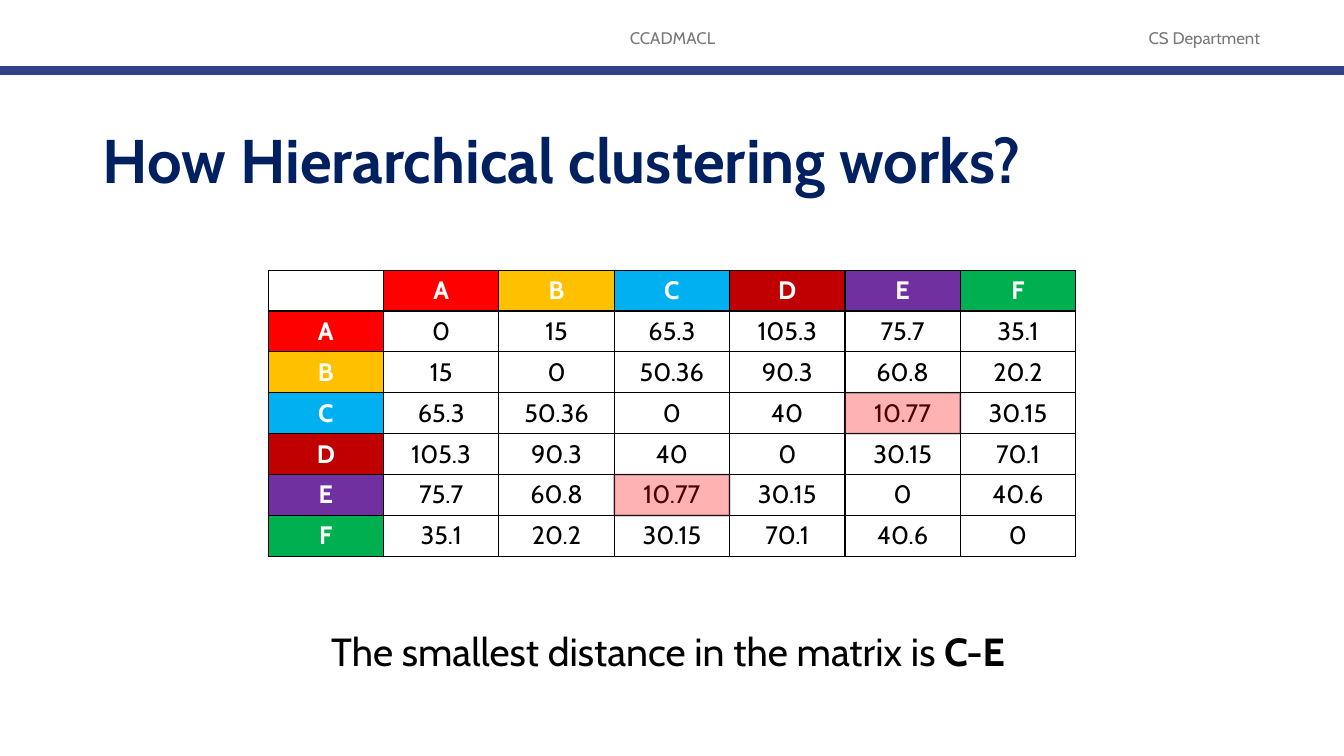
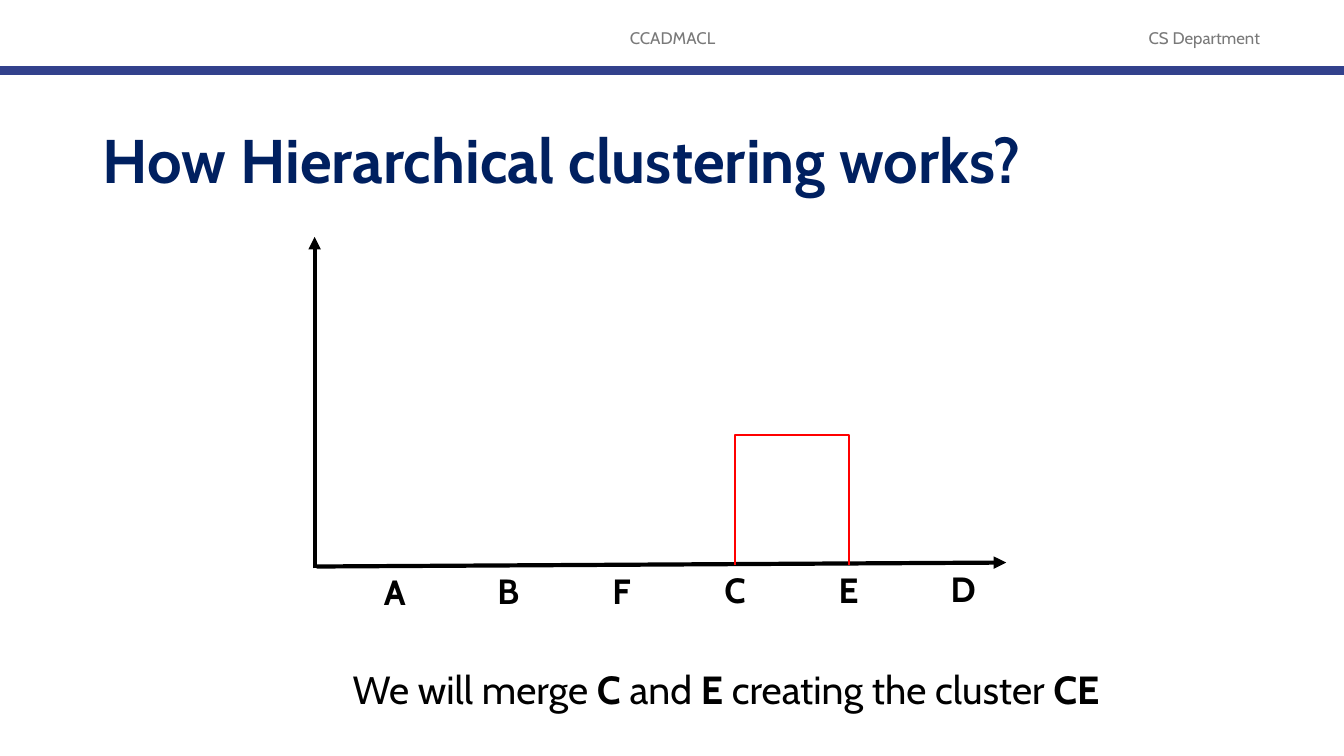
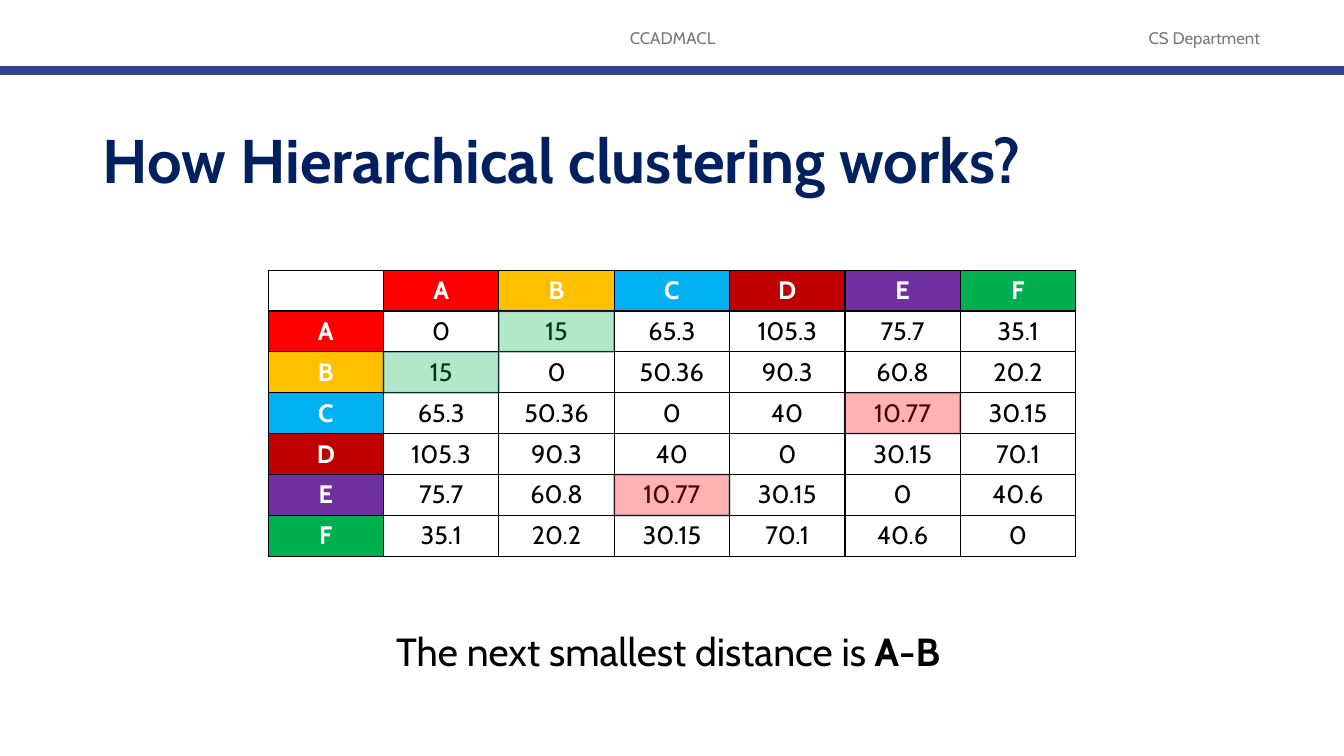
import typing

import lxml.etree
import pptx
import pptx.dml.color
import pptx.enum.shapes
import pptx.enum.text
import pptx.oxml.ns
import pptx.util

RGB = pptx.dml.color.RGBColor
ALIGN = pptx.enum.text.PP_ALIGN
ANCHOR = pptx.enum.text.MSO_ANCHOR
Pt = pptx.util.Pt
qn = pptx.oxml.ns.qn

BLACK = RGB(0x00, 0x00, 0x00)
WHITE = RGB(0xFF, 0xFF, 0xFF)
GREY = RGB(0x79, 0x79, 0x79)
NAVY = RGB(0x00, 0x20, 0x60)
INDIGO = RGB(0x32, 0x41, 0x8C)
OUTLINE = RGB(0x09, 0x2A, 0x39)
RED = RGB(0xFF, 0x00, 0x00)
AMBER = RGB(0xFF, 0xC0, 0x00)
SKY = RGB(0x00, 0xB0, 0xF0)
CRIMSON = RGB(0xC0, 0x00, 0x00)
PURPLE = RGB(0x70, 0x30, 0xA0)
GREEN = RGB(0x00, 0xB0, 0x50)

FONT = "Cabin"
TITLE = "How Hierarchical clustering works?"
POINTS = {"A": RED, "B": AMBER, "C": SKY, "D": CRIMSON, "E": PURPLE, "F": GREEN}
DISTANCES = [
    ["0", "15", "65.3", "105.3", "75.7", "35.1"],
    ["15", "0", "50.36", "90.3", "60.8", "20.2"],
    ["65.3", "50.36", "0", "40", "10.77", "30.15"],
    ["105.3", "90.3", "40", "0", "30.15", "70.1"],
    ["75.7", "60.8", "10.77", "30.15", "0", "40.6"],
    ["35.1", "20.2", "30.15", "70.1", "40.6", "0"],
]


class Box(typing.NamedTuple):
    left: int
    top: int
    width: int
    height: int

    def at(self, x, y):
        """Point at x and y percent of the box."""
        return (round(self.left + self.width * x / 100),
                round(self.top + self.height * y / 100))

    def inner(self, x, y, w, h):
        """Inner box whose place and size are percentages of this one."""
        return Box(*self.at(x, y), round(self.width * w / 100),
                   round(self.height * h / 100))


PAGE = Box(0, 0, pptx.util.Inches(13.33), pptx.util.Inches(7.5))
MATRIX = PAGE.inner(19.95, 35.73, 60.09, 37.87)
PLOT = PAGE.inner(23.41, 31.33, 51.46, 43.87)
MATRIX_CAPTION = PAGE.inner(6.9, 83.07, 86.27, 9.73)
PLOT_CAPTION = PAGE.inner(10.88, 88, 86.27, 9.73)


def style(p, size, color, bold=None, align=ALIGN.CENTER):
    p.alignment = align
    p.font.name, p.font.size, p.font.bold = FONT, Pt(size), bold
    p.font.color.rgb = color


def add_text(slide, box, text, size, color, bold=None, align=ALIGN.CENTER,
             anchor=ANCHOR.MIDDLE, wrap=True):
    """Add one paragraph; a tuple of texts alternates plain and bold runs."""
    tf = slide.shapes.add_textbox(*box).text_frame
    tf.word_wrap, tf.vertical_anchor = wrap, anchor
    p = tf.paragraphs[0]
    style(p, size, color, bold, align)
    if isinstance(text, str):
        p.add_run().text = text
    else:
        for i, words in enumerate(text):
            r = p.add_run()
            r.text, r.font.bold = words, i % 2 == 1
    return p


def add_line(slide, start, end, color, width, arrow=False):
    sp = slide.shapes.add_connector(
        pptx.enum.shapes.MSO_CONNECTOR.STRAIGHT, *start, *end)
    sp.line.color.rgb, sp.line.width = color, Pt(width)
    sp_pr = sp._element.spPr
    if arrow:
        lxml.etree.SubElement(sp_pr.find(qn("a:ln")), qn("a:tailEnd"),
                              type="triangle")
    lxml.etree.SubElement(sp_pr, qn("a:effectLst"))


def new_slide(prs, caption, caption_box):
    slide = prs.slides.add_slide(prs.slide_layouts[6])
    add_text(slide, PAGE.inner(33.16, 2.27, 33.76, 5.33), "CCADMACL", 12, GREY)
    add_text(slide, PAGE.inner(81.92, 2.27, 15.38, 5.33), "CS Department", 12, GREY)
    add_line(slide, PAGE.at(0, 9.33), PAGE.at(100, 9.33), INDIGO, 6)
    title = add_text(slide, PAGE.inner(6.9, 12, 86.27, 19.33), TITLE, 44, NAVY,
                     True, ALIGN.LEFT)
    text = add_text(slide, caption_box, caption, 28, BLACK, anchor=ANCHOR.TOP)
    title.line_spacing = text.line_spacing = 0.9
    return slide


def fill_cell(cell, text, fill, anchor):
    """Write a cell with black borders; only labels have a fill."""
    tc_pr = cell._tc.get_or_add_tcPr()
    for side in "LRTB":
        ln = lxml.etree.SubElement(tc_pr, qn(f"a:ln{side}"), w=str(int(Pt(1))))
        solid = lxml.etree.SubElement(ln, qn("a:solidFill"))
        lxml.etree.SubElement(solid, qn("a:srgbClr"), val=str(BLACK))
    if fill is None:
        cell.fill.background()
    else:
        cell.fill.solid()
        cell.fill.fore_color.rgb = fill
    cell.text, cell.vertical_anchor = text, anchor
    style(cell.text_frame.paragraphs[0], 18, BLACK if fill is None else WHITE,
          fill is not None)


def add_matrix(slide, box):
    rows = [["", *POINTS]]
    rows += [[name, *values] for name, values in zip(POINTS, DISTANCES)]
    n = len(rows)
    table = slide.shapes.add_table(n, n, *box).table
    table.first_row = table.horz_banding = False
    for i, row in enumerate(rows):
        table.columns[i].width = round(box.width / n)
        table.rows[i].height = round(box.height / n)
        for j, text in enumerate(row):
            fill_cell(table.cell(i, j), text, POINTS.get(text),
                      ANCHOR.TOP if i else ANCHOR.MIDDLE)


def highlight_pair(slide, box, pair, color):
    """Tint both cells of the matrix that hold the distance of a pair."""
    step = 100 / (len(POINTS) + 1)
    i, j = (list(POINTS).index(name) + 1 for name in pair)
    for row, col in ((i, j), (j, i)):
        sp = slide.shapes.add_shape(
            pptx.enum.shapes.MSO_SHAPE.RECTANGLE,
            *box.inner(col * step, row * step, step, step))
        sp.shadow.inherit = False
        sp.fill.solid()
        sp.fill.fore_color.rgb = color
        sp.line.color.rgb, sp.line.width = OUTLINE, Pt(1.5)
        for clr in sp._element.spPr.iter(qn("a:srgbClr")):
            lxml.etree.SubElement(clr, qn("a:alpha"), val="30000")


def add_dendrogram(slide, box, names, merged):
    add_line(slide, box.at(0.3, 99.4), box.at(100, 98.2), BLACK, 3, arrow=True)
    add_line(slide, box.at(0, 100), box.at(0, 0), BLACK, 3, arrow=True)
    centers = {name: 11.6 + 16.4 * i for i, name in enumerate(names)}
    for i, (name, x) in enumerate(centers.items()):
        add_text(slide, box.inner(x - 3.06, 99.1 - 0.18 * i, 6.12, 15.8), name,
                 25, BLACK, True, anchor=ANCHOR.TOP, wrap=False)
    left, right = (centers[name] for name in merged)
    fb = slide.shapes.build_freeform(*box.at(left, 98.94))
    fb.add_line_segments([box.at(left, 59.88), box.at(right, 59.88),
                          box.at(right, 98.94)], close=False)
    sp = fb.convert_to_shape()
    sp.shadow.inherit = False
    sp.fill.background()
    sp.line.color.rgb, sp.line.width = RED, Pt(1.5)


def matrix_slide(prs, caption, pairs):
    slide = new_slide(prs, caption, MATRIX_CAPTION)
    add_matrix(slide, MATRIX)
    for pair, color in pairs.items():
        highlight_pair(slide, MATRIX, pair, color)


def dendrogram_slide(prs, caption, names, merged):
    slide = new_slide(prs, caption, PLOT_CAPTION)
    add_dendrogram(slide, PLOT, names, merged)


def main():
    prs = pptx.Presentation()
    prs.slide_width, prs.slide_height = PAGE.width, PAGE.height
    matrix_slide(prs, ("The smallest distance in the matrix is ", "C-E "),
                 {"CE": RED})
    dendrogram_slide(prs, ("We will merge ", "C", " and ", "E",
                           " creating the cluster ", "CE"), "ABFCED", "CE")
    matrix_slide(prs, ("The next smallest distance is ", "A-B "),
                 {"CE": RED, "AB": GREEN})
    prs.save("out.pptx")


if __name__ == "__main__":
    main()
